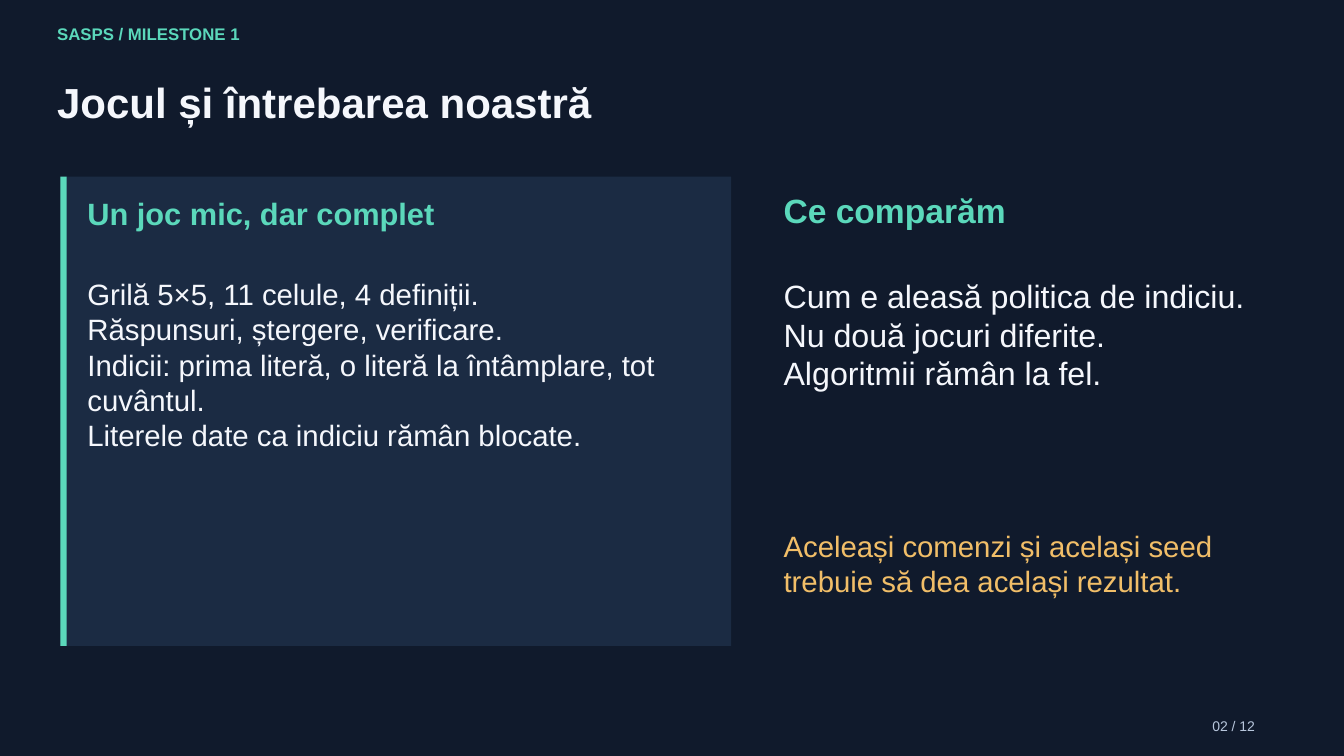
from dataclasses import dataclass

from pptx import Presentation
from pptx.dml.color import RGBColor
from pptx.enum.shapes import MSO_SHAPE
from pptx.enum.text import MSO_AUTO_SIZE
from pptx.util import Inches, Pt


@dataclass(frozen=True)
class Theme:
    """Colours, type sizes and font of the deck."""

    background: str = "101A2C"
    panel: str = "1B2B43"
    accent: str = "5BD8BB"
    text: str = "F5F7FC"
    highlight: str = "F1BE68"
    muted: str = "B8C7DD"
    font: str = "Arial"
    title: float = 45
    heading: float = 36
    panel_heading: float = 33
    lead: float = 34.5
    body: float = 31.5
    label: float = 18
    page: float = 15
    leading: float = 1.2


class SlideBuilder:
    """Draws styled elements on the current slide."""

    def __init__(self, slide, theme):
        """Keep the slide and theme, and paint the background."""
        self.slide = slide
        self.theme = theme
        fill = slide.background.fill
        fill.solid()
        fill.fore_color.rgb = RGBColor.from_string(theme.background)

    def rectangle(self, left, top, width, height, color):
        """Add a plain filled rectangle."""
        shape = self.slide.shapes.add_shape(
            MSO_SHAPE.RECTANGLE, Inches(left), Inches(top), Inches(width), Inches(height)
        )
        shape.shadow.inherit = False
        shape.fill.solid()
        shape.fill.fore_color.rgb = RGBColor.from_string(color)
        shape.line.fill.background()

    def text(self, left, top, width, height, lines, size, color, bold=False):
        """Add a text box with one paragraph for each line."""
        box = self.slide.shapes.add_textbox(
            Inches(left), Inches(top), Inches(width), Inches(height)
        )
        frame = box.text_frame
        frame.word_wrap = True
        frame.auto_size = MSO_AUTO_SIZE.SHAPE_TO_FIT_TEXT
        frame.margin_left = frame.margin_right = 0
        frame.margin_top = frame.margin_bottom = 0
        for index, line in enumerate(lines):
            paragraph = frame.add_paragraph() if index else frame.paragraphs[0]
            paragraph.line_spacing = Pt(size * self.theme.leading)
            run = paragraph.add_run()
            run.text = line
            run.font.name = self.theme.font
            run.font.size = Pt(size)
            run.font.bold = bold
            run.font.color.rgb = RGBColor.from_string(color)


def main():
    """Build the slide and save the presentation."""
    presentation = Presentation()
    presentation.slide_width = Inches(20)
    presentation.slide_height = Inches(11.25)
    slide = presentation.slides.add_slide(presentation.slide_layouts[6])
    theme = Theme()
    builder = SlideBuilder(slide, theme)

    margin, panel_left, panel_top, panel_height = 0.85, 0.9, 2.63, 6.98
    builder.rectangle(panel_left, panel_top, 9.98, panel_height, theme.panel)
    builder.rectangle(panel_left, panel_top, 0.09, panel_height, theme.accent)

    game_left, game_width, body_top = 1.3, 9.18, 4.11
    builder.text(game_left, 2.9, game_width, 1.01, ["Un joc mic, dar complet"],
                 theme.panel_heading, theme.accent, bold=True)
    game_lines = [
        "Grilă 5×5, 11 celule, 4 definiții.",
        "Răspunsuri, ștergere, verificare.",
        "Indicii: prima literă, o literă la întâmplare, tot cuvântul.",
        "Literele date ca indiciu rămân blocate.",
    ]
    builder.text(game_left, body_top, game_width, 5.27, game_lines, theme.body, theme.text)

    question_left, question_width = 11.66, 7.15
    builder.text(question_left, 2.82, question_width, 0.93, ["Ce comparăm"],
                 theme.heading, theme.accent, bold=True)
    question_lines = [
        "Cum e aleasă politica de indiciu.",
        "Nu două jocuri diferite.",
        "Algoritmii rămân la fel.",
    ]
    builder.text(question_left, body_top, question_width, 3.17, question_lines,
                 theme.lead, theme.text)
    builder.text(question_left, 7.86, question_width, 1.97,
                 ["Aceleași comenzi și același seed trebuie să dea același rezultat."],
                 theme.body, theme.highlight)

    builder.text(margin, 0.35, 17.96, 0.55, ["SASPS / MILESTONE 1"],
                 theme.label, theme.accent, bold=True)
    builder.text(margin, 1.14, 18.26, 1.08, ["Jocul și întrebarea noastră"],
                 theme.title, theme.text, bold=True)
    builder.text(18.04, 10.68, 1.07, 0.4, ["02 / 12"], theme.page, theme.muted)

    presentation.save("out.pptx")


if __name__ == "__main__":
    main()
